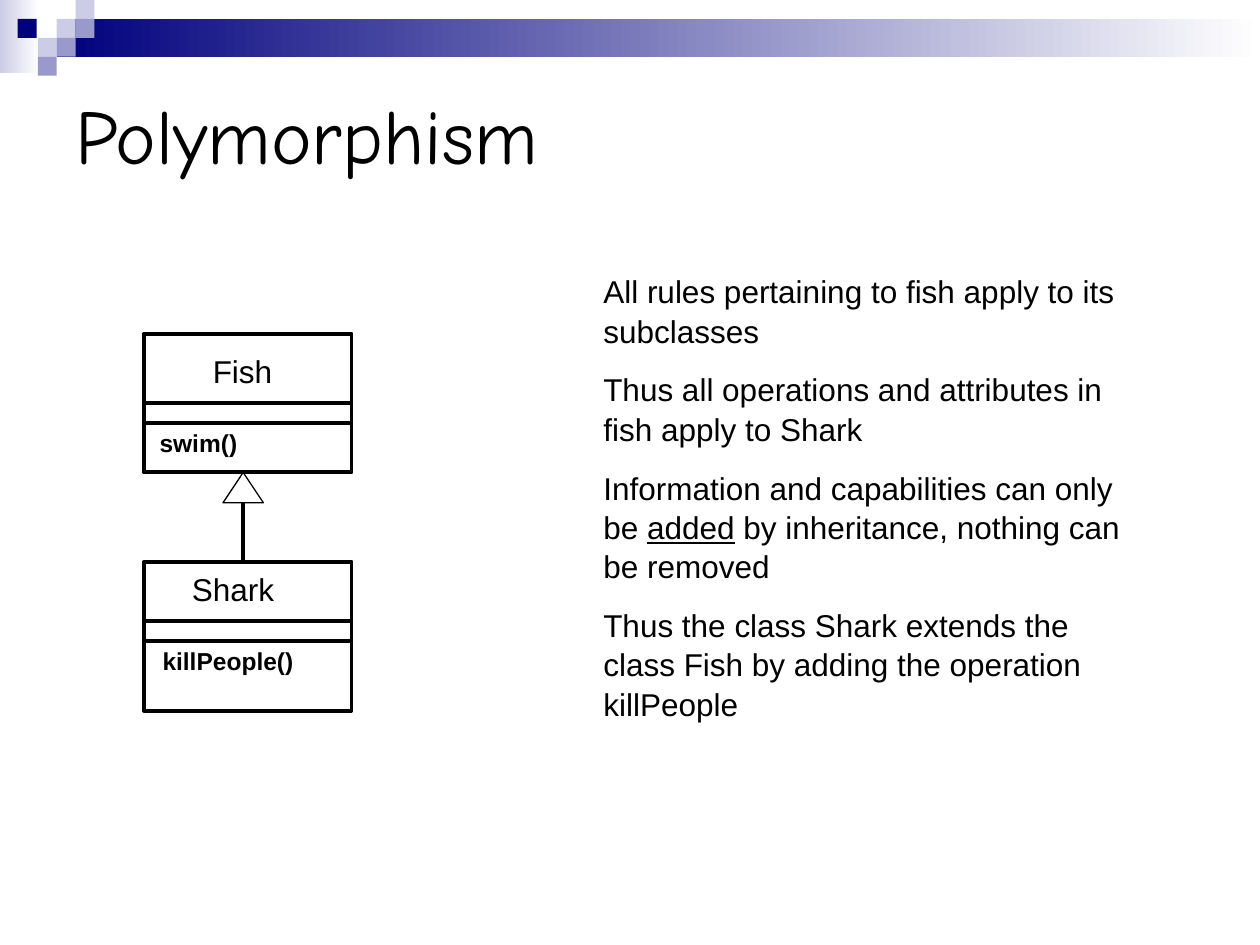
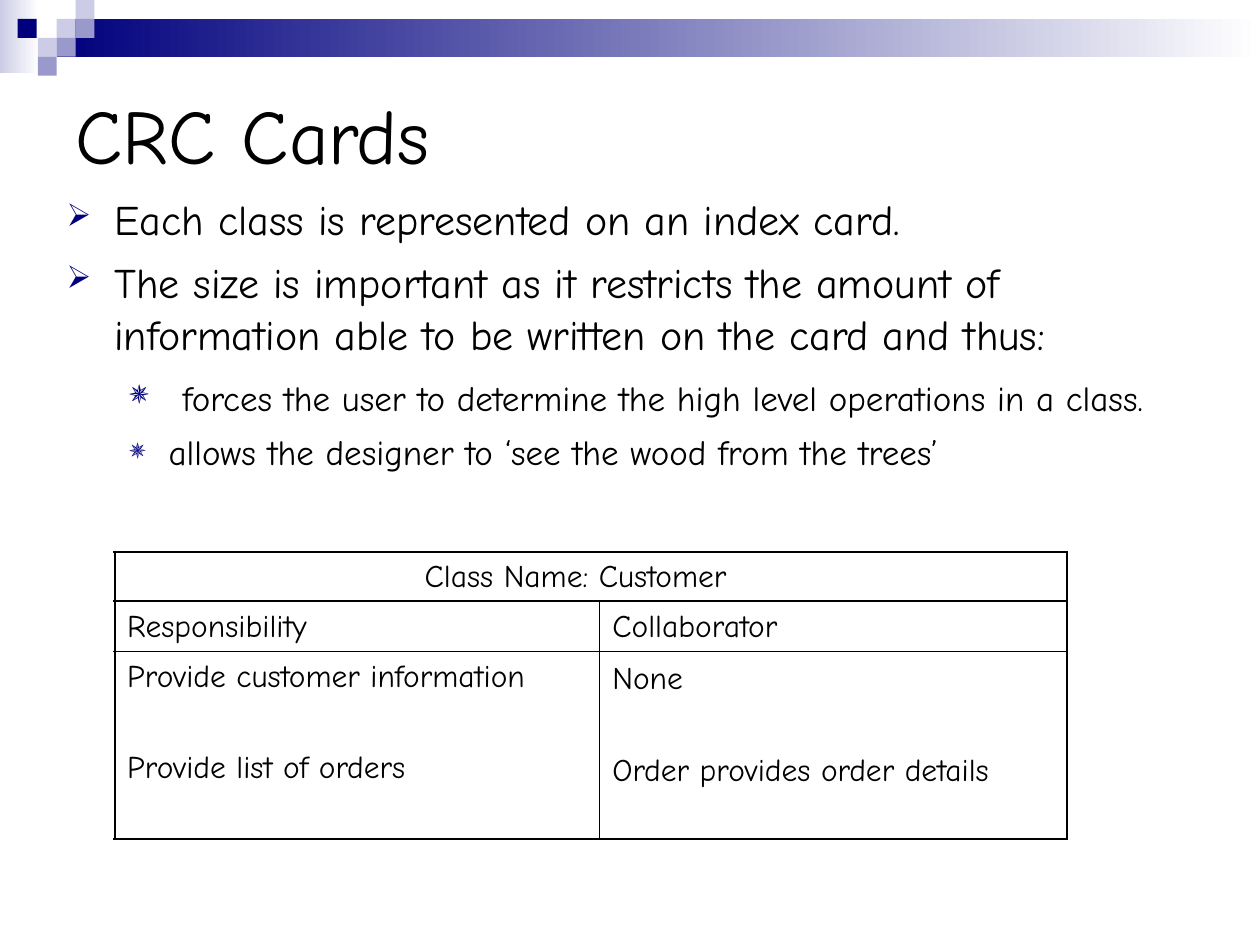
from lxml.etree import SubElement
from pptx import Presentation
from pptx.dml.color import RGBColor
from pptx.enum.shapes import MSO_CONNECTOR, MSO_SHAPE
from pptx.enum.text import MSO_ANCHOR, PP_ALIGN
from pptx.oxml import parse_xml
from pptx.oxml.ns import nsdecls, qn
from pptx.util import Inches, Pt

COLORS = {
    "text": "000000",
    "navy": "00007D",
    "violet": "9999CC",
    "lavender": "CCCCE6",
    "white": "FFFFFF",
}
BODY_FONT = "Arial"
HAND_FONT = "Comic Neue"
LINE_SPACING = 1.04

BANDS = [
    (0, 0, 0.31, 0.58, "lavender"),
    (0.45, 0.15, 9.55, 0.3, "navy"),
]
TILE = 0.15
TILES = [
    (3, 1, "lavender"),
    (4, 0, "lavender"),
    (4, 1, "violet"),
    (2, 2, "lavender"),
    (1, 1, "navy"),
    (3, 2, "violet"),
    (2, 3, "violet"),
]

CLASS_LEFT, CLASS_WIDTH = 1.14, 1.65
COMPARTMENT_GAP = 0.16
CLASSES = [
    {"name": "Fish", "name_top": 2.73, "name_width": 1.57, "top": 2.65, "height": 1.1,
     "divider": 3.2, "operation": "swim()", "operation_width": 0.87},
    {"name": "Shark", "name_top": 4.46, "name_width": 1.42, "top": 4.46, "height": 1.18,
     "divider": 4.93, "operation": "killPeople()", "operation_width": 1.34},
]
INHERITANCE_X = 1.93
ARROW_WIDTH, ARROW_HEIGHT = 0.32, 0.24
RULES = [
    [("All rules pertaining to fish apply to its subclasses", False)],
    [("Thus all operations and attributes in fish apply to Shark", False)],
    [("Information and capabilities can only be ", False), ("added", True),
     (" by inheritance, nothing can be removed", False)],
    [("Thus the class Shark extends the class Fish by adding the operation killPeople", False)],
]

BULLET_LEVELS = [
    {"size": 24, "before": 6, "left": 0.38, "hanging": 0.38, "character": "➢", "percent": 75},
    {"size": 20, "before": 5, "left": 0.81, "hanging": 0.31, "character": "✵", "percent": 80},
]
CARD_POINTS = [
    (0, [("Each class is represented on an index card.", 24)]),
    (0, [("The size is important as it restricts the amount of information able to be "
          "written on the card and thus:", 24)]),
    (1, [(" ", 24),
         ("forces the user to determine the high level operations in a class.", 20)]),
    (1, [("allows the designer to ‘see the wood from the trees’", 20)]),
]
CARD_LEFT, CARD_TOP = 0.91, 4.38
CARD_COLUMNS = [3.85, 3.71]
CARD_ROWS = [0.39, 0.4, 1.49]
CARD_CELLS = [
    [["Class Name: Customer"], []],
    [["Responsibility"], ["Collaborator"]],
    [["Provide customer information", "Provide list of orders"],
     ["None", "Order provides order details"]],
]
CARD_HEADING_INDENT = 2.46
CARD_ENTRY_GAP = 30.5
OUTER_BORDER, INNER_BORDER = 1.5, 0.75


def color(name):
    return RGBColor.from_string(COLORS[name])


def add_run(paragraph, text, size, font=BODY_FONT, bold=False, underline=False):
    run = paragraph.add_run()
    run.text = text
    run.font.name = font
    run.font.size = Pt(size)
    run.font.bold = bold
    run.font.underline = underline
    run.font.color.rgb = color("text")


def add_paragraph(frame, index, before=0):
    paragraph = frame.add_paragraph() if index else frame.paragraphs[0]
    paragraph.line_spacing = LINE_SPACING
    paragraph.space_before = Pt(before)
    return paragraph


def add_text_frame(slide, left, top, width, height):
    box = slide.shapes.add_textbox(Inches(left), Inches(top), Inches(width), Inches(height))
    box.text_frame.word_wrap = True
    return box.text_frame


def add_outline(slide, kind, left, top, width, height, weight):
    shape = slide.shapes.add_shape(
        kind, Inches(left), Inches(top), Inches(width), Inches(height))
    shape.shadow.inherit = False
    shape.fill.background()
    shape.line.color.rgb = color("text")
    shape.line.width = Pt(weight)


def add_line(slide, start, end, weight=2.25):
    line = slide.shapes.add_connector(
        MSO_CONNECTOR.STRAIGHT, *(Inches(length) for length in (*start, *end)))
    line.line.color.rgb = color("text")
    line.line.width = Pt(weight)
    SubElement(line.element.spPr, qn("a:effectLst"))


def add_decoration(slide, layout):
    tiles = [(0.15 * column - (0.01 if column == 1 else 0), TILE * row, TILE, TILE, name)
             for column, row, name in TILES]
    for index, (left, top, width, height, name) in enumerate(BANDS + tiles):
        shape = slide.shapes.add_shape(
            MSO_SHAPE.RECTANGLE, Inches(left), Inches(top), Inches(width), Inches(height))
        shape.shadow.inherit = False
        shape.line.fill.background()
        if index < len(BANDS):
            shape.fill.gradient()
            shape.fill.gradient_angle = 0
            for stop, stop_color in zip(shape.fill.gradient_stops, (name, "white")):
                stop.color.rgb = color(stop_color)
        else:
            shape.fill.solid()
            shape.fill.fore_color.rgb = color(name)
        layout.shapes.element.insert(2 + index, shape.element)


def add_title(slide, text):
    title = slide.shapes.title
    title.left, title.top = Inches(0.5), Inches(0.5)
    title.width, title.height = Inches(9), Inches(1.12)
    title.text_frame.vertical_anchor = MSO_ANCHOR.MIDDLE
    paragraph = title.text_frame.paragraphs[0]
    paragraph.alignment = PP_ALIGN.LEFT
    add_run(paragraph, text, 44, HAND_FONT)


def add_class_label(slide, text, top, width, height, size, bold):
    frame = add_text_frame(slide, CLASS_LEFT, top, width, height)
    paragraph = add_paragraph(frame, 0)
    paragraph.alignment = PP_ALIGN.CENTER
    add_run(paragraph, text, size, bold=bold)


def add_class(slide, item):
    add_class_label(slide, item["name"], item["name_top"], item["name_width"], 0.4, 18, False)
    add_outline(slide, MSO_SHAPE.RECTANGLE, CLASS_LEFT, item["top"],
                CLASS_WIDTH, item["height"], 2.25)
    operations_top = item["divider"] + COMPARTMENT_GAP
    for y in (item["divider"], operations_top):
        add_line(slide, (CLASS_LEFT, y), (CLASS_LEFT + CLASS_WIDTH, y))
    add_class_label(slide, item["operation"], operations_top - 0.02,
                    item["operation_width"], 0.34, 14, True)


def build_polymorphism(slide):
    add_title(slide, "Polymorphism")
    for item in CLASSES:
        add_class(slide, item)
    parent, child = CLASSES
    arrow_top = parent["top"] + parent["height"]
    add_outline(slide, MSO_SHAPE.ISOSCELES_TRIANGLE, INHERITANCE_X - ARROW_WIDTH / 2,
                arrow_top, ARROW_WIDTH, ARROW_HEIGHT, 0.75)
    add_line(slide, (INHERITANCE_X, arrow_top + ARROW_HEIGHT), (INHERITANCE_X, child["top"]))
    frame = add_text_frame(slide, 4.69, 2.1, 4.33, 3.57)
    for index, rule in enumerate(RULES):
        paragraph = add_paragraph(frame, index, 11.2)
        for text, underline in rule:
            add_run(paragraph, text, 18, underline=underline)


def add_bullet(paragraph, level):
    properties = paragraph._p.get_or_add_pPr()
    properties.set("marL", str(Inches(level["left"])))
    properties.set("indent", str(-Inches(level["hanging"])))
    bullet_color = SubElement(properties, qn("a:buClr"))
    SubElement(bullet_color, qn("a:srgbClr"), val=COLORS["navy"])
    SubElement(properties, qn("a:buSzPct"), val=str(level["percent"] * 1000))
    SubElement(properties, qn("a:buChar"), char=level["character"])


def set_borders(cell, weights):
    properties = cell._tc.get_or_add_tcPr()
    for index, (side, weight) in enumerate(weights.items()):
        properties.insert(index, parse_xml(
            f'<a:ln{side} {nsdecls("a")} w="{Pt(weight)}"><a:solidFill>'
            f'<a:srgbClr val="{COLORS["text"]}"/></a:solidFill></a:ln{side}>'))


def format_card_cell(cell, row, column, entries):
    cell.fill.background()
    cell.margin_left = Inches(CARD_HEADING_INDENT if row == 0 else 0.1)
    cell.margin_top = Inches(0.07 if (row, column) == (2, 1) else 0.05)
    cell.margin_bottom = Inches(0.02)
    on_right_edge = column == len(CARD_COLUMNS) - 1 or cell.is_merge_origin
    edges = {
        "L": column == 0,
        "R": on_right_edge,
        "T": row == 0,
        "B": row == len(CARD_ROWS) - 1,
    }
    if cell.is_spanned:
        del edges["L"]
    set_borders(cell, {side: OUTER_BORDER if outer else INNER_BORDER
                       for side, outer in edges.items()})
    for index, entry in enumerate(entries):
        paragraph = add_paragraph(cell.text_frame, index, CARD_ENTRY_GAP if index else 0)
        add_run(paragraph, entry, 18, HAND_FONT)


def add_card(slide):
    table = slide.shapes.add_table(
        len(CARD_ROWS), len(CARD_COLUMNS), Inches(CARD_LEFT), Inches(CARD_TOP),
        Inches(sum(CARD_COLUMNS)), Inches(sum(CARD_ROWS))).table
    table.first_row = table.horz_banding = False
    for column, width in zip(table.columns, CARD_COLUMNS):
        column.width = Inches(width)
    for row, height in zip(table.rows, CARD_ROWS):
        row.height = Inches(height)
    table.cell(0, 0).merge(table.cell(0, 1))
    for row, cells in enumerate(CARD_CELLS):
        for column, entries in enumerate(cells):
            format_card_cell(table.cell(row, column), row, column, entries)


def build_crc_cards(slide):
    add_title(slide, "CRC Cards")
    add_card(slide)
    frame = add_text_frame(slide, 0.43, 1.47, 9.15, 2.8)
    for index, (depth, runs) in enumerate(CARD_POINTS):
        level = BULLET_LEVELS[depth]
        paragraph = add_paragraph(frame, index, level["before"])
        paragraph.level = depth
        add_bullet(paragraph, level)
        for text, size in runs:
            add_run(paragraph, text, size, HAND_FONT)


def main():
    presentation = Presentation()
    presentation.slide_width, presentation.slide_height = Inches(10), Inches(7.5)
    layout = presentation.slide_layouts[5]
    slides = [presentation.slides.add_slide(layout) for _ in range(2)]
    add_decoration(slides[0], layout)
    build_polymorphism(slides[0])
    build_crc_cards(slides[1])
    presentation.save("out.pptx")


if __name__ == "__main__":
    main()
